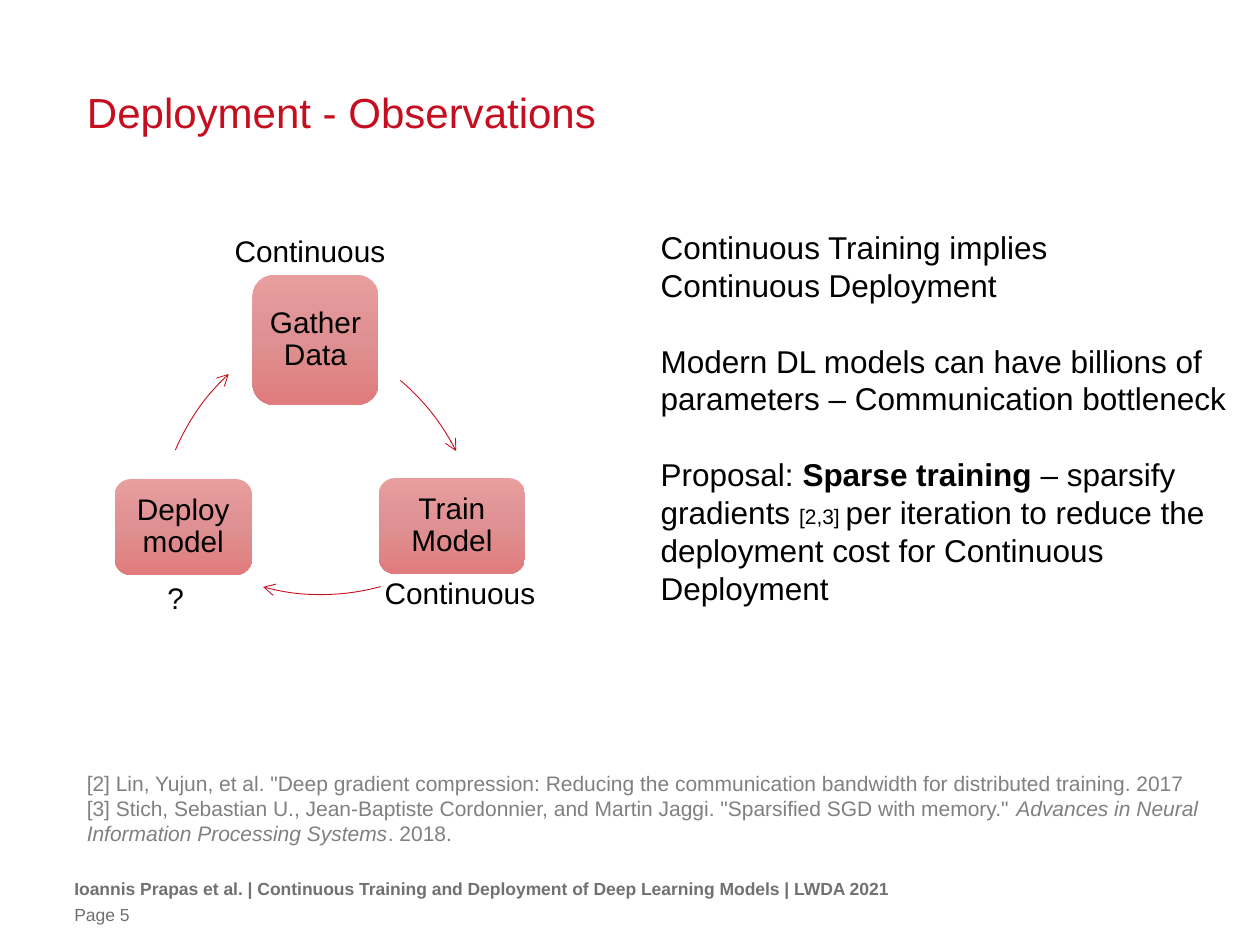
from copy import deepcopy
from pptx import Presentation
from pptx.dml.color import RGBColor
from pptx.enum.shapes import MSO_SHAPE
from pptx.enum.text import MSO_ANCHOR, PP_ALIGN
from pptx.oxml.ns import qn
from pptx.util import Pt
from lxml import etree

ROUND, ARC = MSO_SHAPE.ROUNDED_RECTANGLE, MSO_SHAPE.ARC
TOP, MIDDLE, BOTTOM = MSO_ANCHOR.TOP, MSO_ANCHOR.MIDDLE, MSO_ANCHOR.BOTTOM
LEFT, CENTER = PP_ALIGN.LEFT, PP_ALIGN.CENTER
HEX = {"red": "C50E1F", "ink": "000000", "note": "808080", "foot": "717171",
       "light": "E99E9E", "mid": "DF9092", "deep": "E07C7D"}
FONT = "Arial"


def color(name):
    return RGBColor.from_string(HEX[name])


def write(shape, paras, size, tone, pad=(7.2, 3.6), anchor=TOP, align=LEFT,
          wrap=True, line=None):
    """Each paragraph is a list of (text, style) runs; returns the paragraphs."""
    frame = shape.text_frame
    frame.word_wrap = wrap
    frame.vertical_anchor = anchor
    frame.margin_left = frame.margin_right = Pt(pad[0])
    frame.margin_top = frame.margin_bottom = Pt(pad[1])
    for i, runs in enumerate(paras):
        para = frame.add_paragraph() if i else frame.paragraphs[0]
        para.alignment = align
        para.line_spacing = line
        font = para.font
        font.name, font.size = FONT, Pt(size)
        font.color.rgb = color(tone)
        for text, style in runs:
            run = para.add_run()
            run.text = text
            for key, value in style.items():
                setattr(run.font, key, value)
    return frame.paragraphs


def label(slide, box, paras, *args, **opts):
    shape = slide.shapes.add_textbox(*map(Pt, box))
    return write(shape, paras, *args, **opts)


def node(slide, box, text):
    shape = slide.shapes.add_shape(ROUND, *map(Pt, box))
    shape.shadow.inherit = False
    shape.line.fill.background()
    fill = shape.fill
    fill.gradient()
    fill.gradient_angle = 270
    # The default gradient has two stops; a third goes between them
    stops = shape._element.spPr.find(qn("a:gradFill")).find(qn("a:gsLst"))
    stops.insert(1, deepcopy(stops[0]))
    for stop, pos, tone in zip(fill.gradient_stops, (0, 0.5, 1),
                               ("light", "mid", "deep")):
        stop.position = pos
        stop.color.rgb = color(tone)
    write(shape, [[(text, {})]], 17, "ink", (5, 5), MIDDLE, CENTER, line=0.9)


def arc(slide, box, start, end):
    """Arrow along a circle, clockwise between two angles in degrees."""
    shape = slide.shapes.add_shape(ARC, *map(Pt, box))
    shape.shadow.inherit = False
    shape.fill.background()
    # Angles count 60000 to the degree, adjustments 100000 to the unit
    for i, angle in enumerate((start, end)):
        shape.adjustments[i] = angle * 0.6
    shape.line.color.rgb = color("red")
    shape.line.width = Pt(0.5)
    etree.SubElement(shape.line._get_or_add_ln(), qn("a:tailEnd"), type="arrow")


def heading(slide, box):
    label(slide, box, [[("Deployment - Observations", {})]], 24, "red",
          (0, 0), BOTTOM, line=Pt(30))


def cycle(slide, left, top):
    # Steps of the loop
    for x, y, wide, high, text in (
            (78.8, 27.5, 72, 74.2, "Gather Data"),
            (151, 143.6, 83.5, 54.7, "Train Model"),
            (0, 144.2, 78.5, 54.7, "Deploy model")):
        node(slide, (left + x, top + y, wide, high), text)
    # Arrows between the steps
    for x, y, start, end in ((-47.5, 57.6, 310.2, 333.3),
                             (-10.1, -46.1, 74.6, 105),
                             (24.5, 49.7, 203.1, 227)):
        arc(slide, (left + x, top + y, 256.3, 256.3), start, end)
    # How often each step runs
    for x, y, wide, text in ((60.9, 0, 101.5, "Continuous"),
                             (146.6, 195.1, 101.5, "Continuous"),
                             (22.7, 198, 24.5, "?")):
        label(slide, (left + x, top + y, wide, 28), [[(text, {})]], 17, "ink",
              align=CENTER, wrap=False)


def points(slide, box):
    paras = label(slide, box, [
        [("Continuous Training implies", {})],
        [("Continuous Deployment", {})],
        [("Modern DL models can have billions of parameters – "
          "Communication bottleneck", {})],
        [("Proposal: ", {}), ("Sparse training ", {"bold": True}),
         ("– sparsify gradients ", {}), ("[2,3] ", {"size": Pt(12)}),
         ("per iteration to reduce the deployment cost for Continuous "
          "Deployment", {})]], 18, "ink")
    for para in paras[2:]:
        para.space_before = Pt(21.7)


def sources(slide, box):
    label(slide, box, [
        [('[2] Lin, Yujun, et al. "Deep gradient compression: Reducing the '
          'communication bandwidth for distributed training. 2017', {})],
        [('[3] Stich, Sebastian U., Jean-Baptiste Cordonnier, and Martin '
          'Jaggi. "Sparsified SGD with memory."\u00a0', {}),
         ("Advances in Neural Information Processing Systems",
          {"italic": True}), (". 2018.", {})]], 12, "note")


def footer(slide, left, top, wide):
    rows = (("Ioannis Prapas et al. | Continuous Training and Deployment of "
             "Deep Learning Models | LWDA 2021", True), ("Page 5", False))
    for i, (text, bold) in enumerate(rows):
        label(slide, (left, top + 14.6 * i, wide, 12.2),
              [[(text, {"bold": bold})]], 10, "foot", (0, 0))


deck = Presentation()
deck.slide_width, deck.slide_height = Pt(720), Pt(540)
page = deck.slides.add_slide(deck.slide_layouts[6])
heading(page, (49.7, 50.2, 620.6, 28.1))
cycle(page, 65.5, 129.6)
points(page, (370.5, 126.8, 350.6, 269.3))
sources(page, (42.5, 436.8, 653.8, 51.1))
footer(page, 42.5, 501.8, 521.3)
deck.save("out.pptx")
